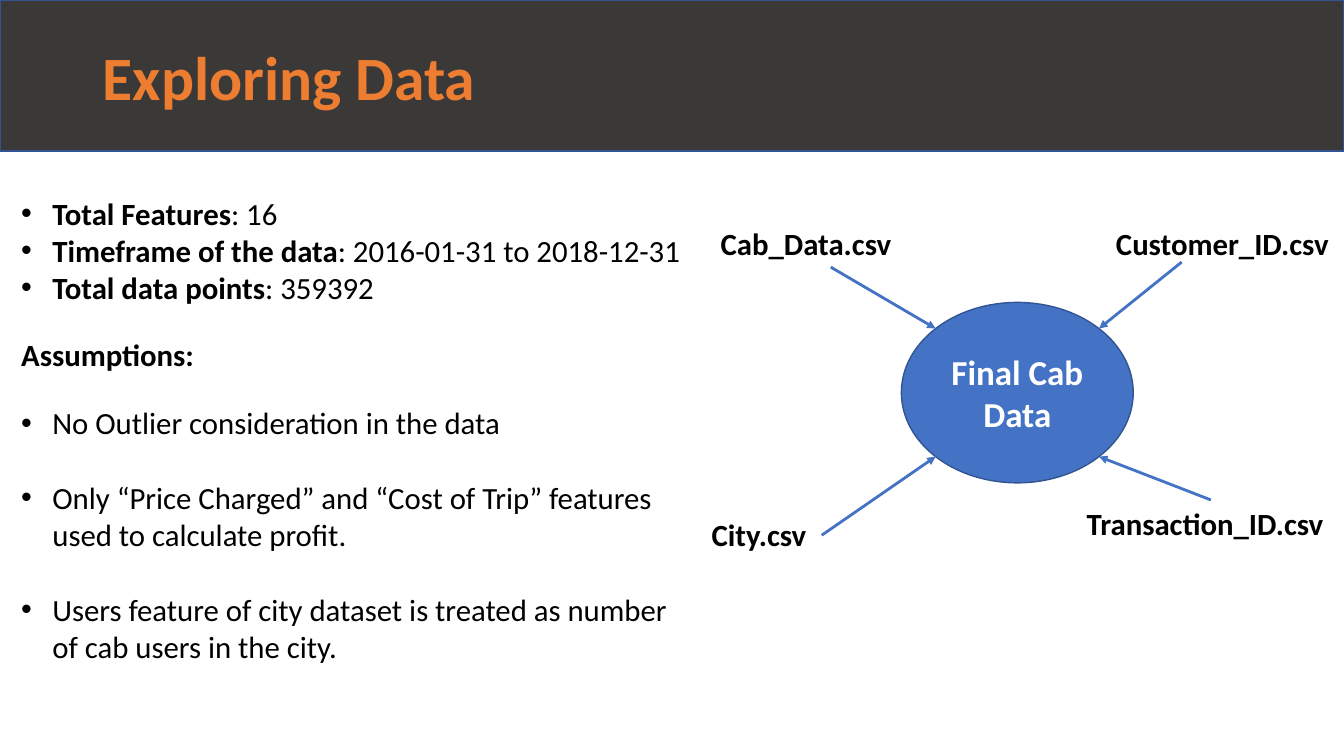
import math

import pptx
import pptx.dml.color
import pptx.enum.shapes
import pptx.enum.text
import pptx.oxml.ns
import pptx.util
from lxml import etree

PX = 9144  # 100 px to the inch
SHAPE = pptx.enum.shapes.MSO_SHAPE
ALIGN = pptx.enum.text.PP_ALIGN
ANCHOR = pptx.enum.text.MSO_ANCHOR


def rgb(hex_string):
    return pptx.dml.color.RGBColor.from_string(hex_string)


def px(*lengths):
    return [pptx.util.Emu(n * PX) for n in lengths]


def add_xml(parent, tag, **attrs):
    return etree.SubElement(parent, pptx.oxml.ns.qn(tag), attrs)


class Deck:
    font = "Calibri"
    black, white, orange = "000000", "FFFFFF", "ED7D31"
    band_fill, blue, outline = "3B3838", "4472C4", "325491"

    def __init__(self, width, height):
        self.prs = pptx.Presentation()
        self.prs.slide_width, self.prs.slide_height = px(width, height)
        self.s = self.prs.slides.add_slide(self.prs.slide_layouts[1])

    def run(self, p, text, size=22, color=black, bold=True):
        r = p.add_run()
        r.text = text
        values = {"name": self.font, "size": pptx.util.Pt(size), "bold": bold}
        for name, value in values.items():
            setattr(r.font, name, value)
        r.font.color.rgb = rgb(color)

    def frame(self, sp, anchor):
        tf = sp.text_frame
        values = {"word_wrap": True, "vertical_anchor": anchor,
                  "auto_size": pptx.enum.text.MSO_AUTO_SIZE.NONE}
        for name, value in values.items():
            setattr(tf, name, value)
        return tf

    def place(self, sp, box):
        for name, value in zip(("left", "top", "width", "height"), px(*box)):
            setattr(sp, name, value)

    def shape(self, kind, box, fill):
        sp = self.s.shapes.add_shape(kind, *px(*box))
        sp.shadow.inherit = False
        sp.fill.solid()
        sp.fill.fore_color.rgb = rgb(fill)
        sp.line.color.rgb = rgb(self.outline)
        sp.line.width = pptx.util.Pt(1)
        return sp

    def band(self, box):
        """Add the header bar behind the placeholders."""
        sp = self.shape(SHAPE.RECTANGLE, box, self.band_fill)
        self.s.shapes._spTree.insert(2, sp._element)

    def title(self, text, box):
        sp = self.s.shapes.title
        self.place(sp, box)
        p = self.frame(sp, ANCHOR.MIDDLE).paragraphs[0]
        p.alignment = ALIGN.LEFT
        p.line_spacing = 0.9
        self.run(p, text, 44, self.orange)

    def body(self, items, box):
        """Fill the body with (bulleted, space before, bold text, plain text)."""
        sp = self.s.placeholders[1]
        self.place(sp, box)
        tf = self.frame(sp, ANCHOR.TOP)
        for i, (bulleted, gap, bold, plain) in enumerate(items):
            p = tf.add_paragraph() if i else tf.paragraphs[0]
            p.space_before = pptx.util.Pt(gap)
            pPr = p._p.get_or_add_pPr()
            indent = 31 * PX if bulleted else 0
            pPr.set("marL", str(indent))
            pPr.set("indent", str(-indent))
            if bulleted:
                add_xml(pPr, "a:buFont", typeface="Arial")
                add_xml(pPr, "a:buChar", char="•")
            else:
                add_xml(pPr, "a:buNone")
            for text, is_bold in ((bold, True), (plain, False)):
                if text:
                    self.run(p, text, bold=is_bold)

    def label(self, text, box):
        sp = self.s.shapes.add_textbox(*px(*box))
        self.run(self.frame(sp, ANCHOR.TOP).paragraphs[0], text)

    def ellipse(self, text, box):
        sp = self.shape(SHAPE.OVAL, box, self.blue)
        p = self.frame(sp, ANCHOR.MIDDLE).paragraphs[0]
        p.alignment = ALIGN.CENTER
        self.run(p, text, 25, self.white)

    def arrow(self, start, end):
        c = self.s.shapes.add_connector(
            pptx.enum.shapes.MSO_CONNECTOR.STRAIGHT, *px(*start, *end))
        c.line.color.rgb = rgb(self.blue)
        c.line.width = pptx.util.Pt(2)
        add_xml(c.line._get_or_add_ln(), "a:tailEnd", type="triangle")
        add_xml(c._element.spPr, "a:effectLst")


LINE_GAP, ITEM_GAP = 22, 27
FACTS = [
    (True, 0, "Total Features", ": 16"),
    (True, 0, "Timeframe of the data", ": 2016-01-31 to 2018-12-31"),
    (True, 0, "Total data points", ": 359392"),
    (False, LINE_GAP, "Assumptions:", ""),
    (True, LINE_GAP, "", "No Outlier consideration in the data"),
    (True, ITEM_GAP, "", "Only “Price Charged” and “Cost of Trip” features "
                         "used to calculate profit."),
    (True, ITEM_GAP, "", "Users feature of city dataset is treated as number "
                         "of cab users in the city."),
]
# file name, label box, arrow start, side of the ellipse (x, y)
SOURCES = [
    ("Cab_Data.csv", (705, 218, 223, 47), (824, 265), (-1, -1)),
    ("Customer_ID.csv", (1097, 218, 241, 47), (1172, 260), (1, -1)),
    ("Transaction_ID.csv", (1068, 496, 265, 47), (1201, 496), (1, 1)),
    ("City.csv", (696, 507, 119, 47), (815, 531), (-1, 1)),
]
FINAL_BOX = (894, 300, 230, 179)


def main():
    deck = Deck(1333, 750)
    deck.band((0, 0, 1333, 150))
    deck.title("Exploring Data", (92, 7, 1150, 145))
    deck.body(FACTS, (11, 188, 681, 509))
    deck.ellipse("Final Cab Data", FINAL_BOX)
    x, y, w, h = FINAL_BOX
    diagonal = math.sqrt(0.5)
    for name, box, start, (side_x, side_y) in SOURCES:
        deck.label(name, box)
        end = (round(x + w / 2 * (1 + side_x * diagonal)),
               round(y + h / 2 * (1 + side_y * diagonal)))
        deck.arrow(start, end)
    deck.prs.save("out.pptx")


if __name__ == "__main__":
    main()
